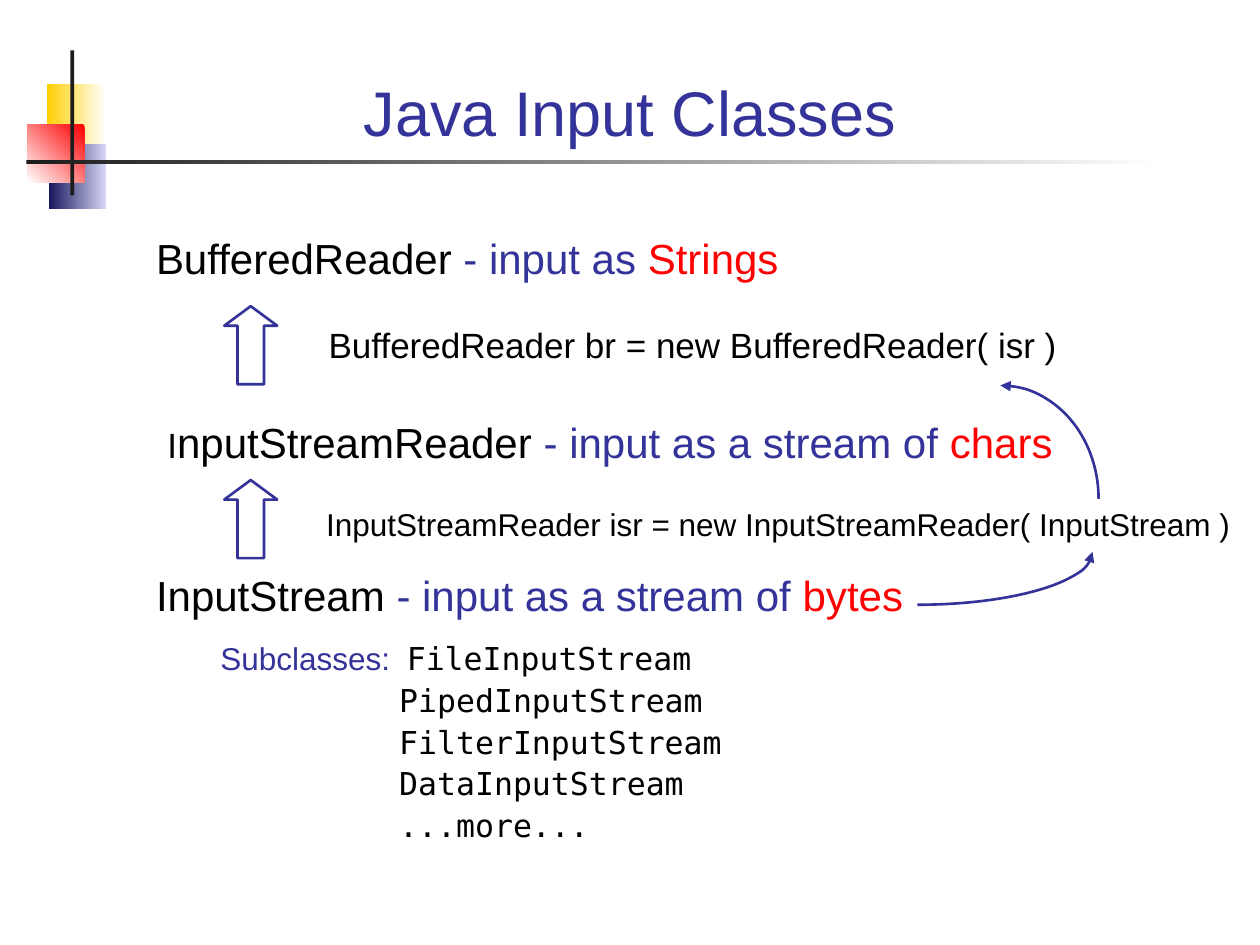
from lxml import etree
from pptx import Presentation
from pptx.dml.color import RGBColor
from pptx.enum.shapes import MSO_SHAPE
from pptx.enum.text import MSO_ANCHOR, PP_ALIGN
from pptx.oxml.ns import qn
from pptx.util import Inches, Pt

RECT, UP, ARC = MSO_SHAPE.RECTANGLE, MSO_SHAPE.UP_ARROW, MSO_SHAPE.ARC
BLACK = RGBColor(0x00, 0x00, 0x00)
WHITE = RGBColor(0xFF, 0xFF, 0xFF)
INK = RGBColor(0x1C, 0x1C, 0x1C)
BLUE = RGBColor(0x33, 0x33, 0x99)
RED = RGBColor(0xFF, 0x00, 0x00)
GOLD = RGBColor(0xFF, 0xCF, 0x01)
NAVY = RGBColor(0x17, 0x17, 0x5E)
PALE = RGBColor(0xD6, 0xD6, 0xF5)
SANS, MONO = "Arial", "DejaVu Sans Mono"

deck = Presentation()
deck.slide_width, deck.slide_height = Inches(10), Inches(7.5)
slide = deck.slides.add_slide(deck.slide_layouts[5])
shapes = slide.shapes


def add_form(kind, *box):
    form = shapes.add_shape(kind, *map(Inches, box))
    form.shadow.inherit = False
    return form


def add_runs(para, *runs):
    """Add runs given as (text, size, colour, font)."""
    for text, size, tint, face in runs:
        run = para.add_run()
        run.text = text
        run.font.size = Pt(size)
        run.font.color.rgb = tint
        run.font.name = face


# Corner ornament: three fading squares, a rule and an upright bar
for box, start, end, angle in [
    ((0.37, 0.67, 0.47, 0.52), GOLD, WHITE, 0),
    ((0.39, 1.14, 0.45, 0.52), NAVY, PALE, 0),
    ((0.22, 0.99, 0.45, 0.46), RED, WHITE, 225),
    ((0.56, 0.4, 0.03, 1.15), INK, INK, 0),
    ((0.21, 1.27, 9, 0.03), INK, WHITE, 0),
]:
    form = add_form(RECT, *box)
    form.line.fill.background()
    if start == end:
        form.fill.solid()
        form.fill.fore_color.rgb = start
    else:
        form.fill.gradient()
        form.fill.gradient_angle = angle
        for stop, tint in zip(form.fill.gradient_stops, (start, end)):
            stop.color.rgb = tint

# Title
title = shapes.title
title.left, title.top = Inches(0.67), Inches(0.28)
title.width, title.height = Inches(8.66), Inches(0.95)
title.text_frame.vertical_anchor = MSO_ANCHOR.BOTTOM
para = title.text_frame.paragraphs[0]
para.alignment = PP_ALIGN.CENTER
add_runs(para, ("Java Input Classes", 36, BLUE, SANS))

# Class lines and the code between them
frames = []
for box, runs in [
    ((1.14, 4.47, 7.61, 2.28), [("InputStream ", 24, BLACK, SANS),
                                ("- input as a stream of ", 24, BLUE, SANS),
                                ("bytes", 24, RED, SANS)]),
    ((1.23, 3.26, 7.51, 0.5), [("I", 20, BLACK, SANS),
                               ("nputStreamReader ", 24, BLACK, SANS),
                               ("- input as a stream of ", 24, BLUE, SANS),
                               ("chars", 24, RED, SANS)]),
    ((1.14, 1.8, 7.27, 0.5), [("BufferedReader ", 24, BLACK, SANS),
                              ("- input as ", 24, BLUE, SANS),
                              ("Strings", 24, RED, SANS)]),
    ((2.49, 3.96, 7.51, 0.4),
     [("InputStreamReader isr = new InputStreamReader( InputStream )",
       18, BLACK, SANS)]),
    ((2.51, 2.52, 6.06, 0.44),
     [("BufferedReader br = new BufferedReader( isr )", 20, BLACK, SANS)]),
]:
    frame = shapes.add_textbox(*map(Inches, box)).text_frame
    frame.word_wrap = True
    add_runs(frame.paragraphs[0], *runs)
    frames.append(frame)

# Subclasses of InputStream
para = frames[0].add_paragraph()
tabs = etree.SubElement(para._p.get_or_add_pPr(), qn("a:tabLst"))
for pos in (0.51, 1.99):
    etree.SubElement(tabs, qn("a:tab"), pos=str(Inches(pos)), algn="l")
para.space_before = Pt(11.2)
add_runs(para, ("\tSubclasses:\t", 18, BLUE, SANS),
         ("FileInputStream", 18, BLACK, MONO))
for name in ("PipedInputStream", "FilterInputStream", "DataInputStream",
             "...more..."):
    para = frames[0].add_paragraph()
    para._p.get_or_add_pPr().set("marL", str(Inches(1.93)))
    para.space_before = Pt(2.2)
    add_runs(para, (name, 18, BLACK, MONO))

# Block arrows up the chain, and curves from each stream to its use
for kind, box, turns in [
    (UP, (1.78, 3.81, 0.42, 0.62), (0.5, 0.37)),
    (UP, (1.78, 2.43, 0.42, 0.62), (0.5, 0.37)),
    (ARC, (5.89, 3.96, 2.78, 0.84), (0, 54)),
    (ARC, (7.16, 3.06, 1.56, 1.8), (162, 0)),
]:
    form = add_form(kind, *box)
    form.fill.background()
    form.line.color.rgb = BLUE
    form.line.width = Pt(1.5)
    for i, turn in enumerate(turns):
        form.adjustments[i] = turn
    if kind == ARC:
        etree.SubElement(form.line._get_or_add_ln(), qn("a:headEnd"),
                         type="triangle")

deck.save("out.pptx")
